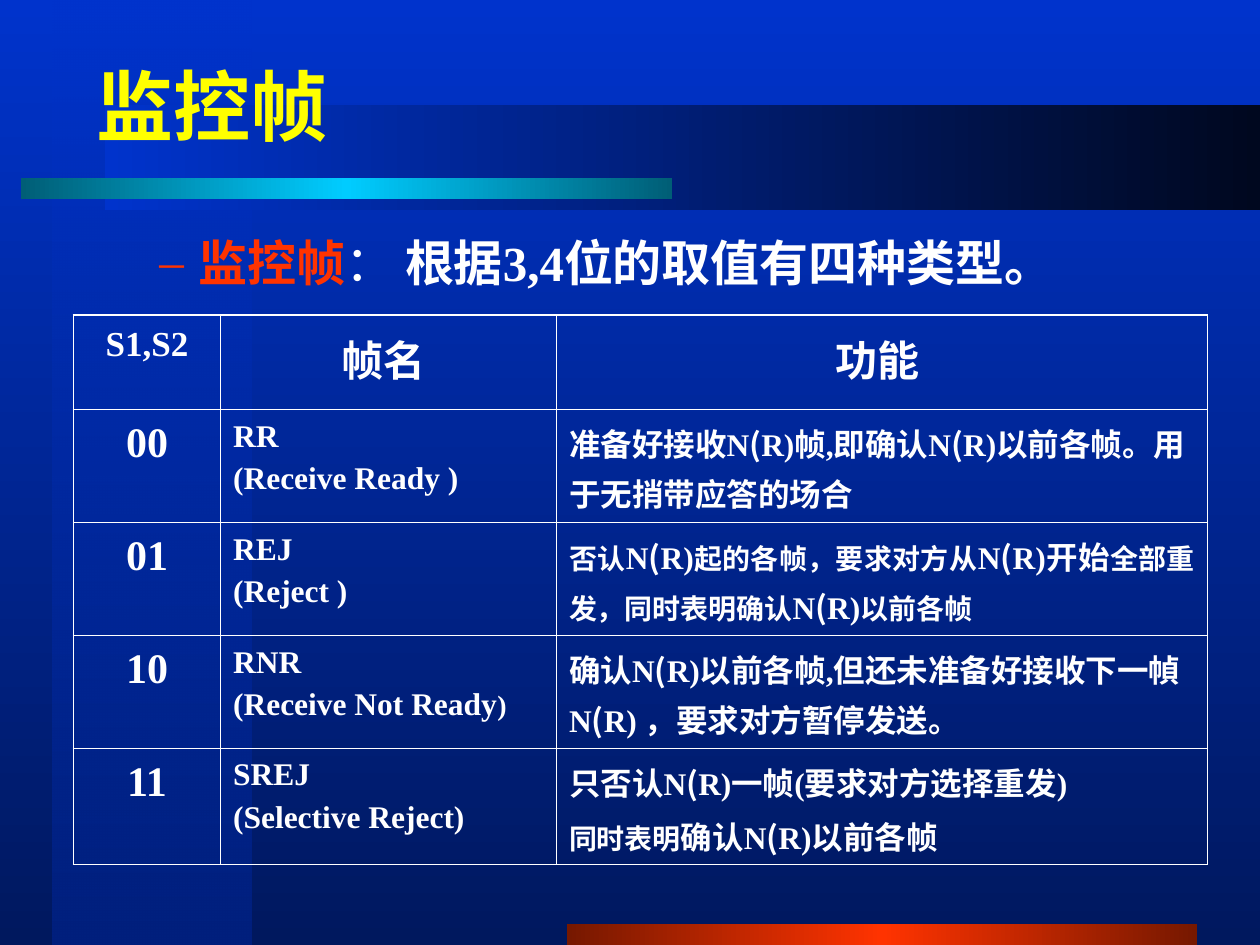
from itertools import groupby
from lxml.etree import SubElement as Sub
from pptx import Presentation
from pptx.dml.color import RGBColor
from pptx.enum.shapes import MSO_SHAPE as Kind
from pptx.enum.text import MSO_AUTO_SIZE as Fit, PP_ALIGN as Align
from pptx.oxml.ns import qn
from pptx.util import Inches, Pt

HAN, ROMAN = "Noto Sans CJK SC", "Times New Roman"
WHITE, RED, YELLOW = "FFFFFF", "FF3300", "FFFF00"
COLS, ROWS = (14, 32, 62), (9, 10.75, 10.75, 10.75, 11.1)
HEAD = (("S1,S2", 20), ("帧名 ", 24), ("功能 ", 24))
FRAMES = (
    ("00", "RR\n(Receive Ready )",
     "准备好接收N(R)帧,即确认N(R)以前各帧。用于无捎带应答的场合", Align.LEFT),
    ("01", "REJ\n(Reject )",
     "~否认~N(R)~起的各帧，要求对方从~N(R)开始~全部重发，同时表明确认~N(R)~以前各帧 ~",
     Align.JUSTIFY),
    ("10", "RNR\n(Receive Not Ready~)~",
     "确认N(R)以前各帧,但还未准备好接收下一幀N(R) ，要求对方暂停发送。 ", Align.LEFT),
    ("11", "SREJ\n(Selective Reject)",
     "只否认N(R)一帧(要求对方选择重发)\n~同时表明~确认N(R)以前各帧", Align.JUSTIFY),
)


def grid(*cells):
    return [Inches(cell / 12) for cell in cells]


def color(code):
    return RGBColor.from_string(code)


def blend(fill, root, stops, angle):
    fill.gradient()
    fill.gradient_angle = angle
    ramp = next(root.iter(qn("a:gsLst")))
    ramp.clear()
    for pos, code, alpha in stops:
        stop = Sub(ramp, qn("a:gs"), pos=str(pos * 1000))
        tone = Sub(stop, qn("a:srgbClr"), val=code)
        if alpha < 100:
            Sub(tone, qn("a:alpha"), val=str(alpha * 1000))


def bar(slide, box, stops, angle=0):
    shape = slide.shapes.add_shape(Kind.RECTANGLE, *grid(*box))
    shape.shadow.inherit = False
    shape.line.fill.background()
    blend(shape.fill, shape.element, stops, angle)


def glow(edge, core):
    return (0, edge, 100), (50, core, 100), (100, edge, 100)


def write(para, text, size, code=WHITE, bold=True):
    for part in text.replace("N(R)", "N|(|R)").split("|"):
        for plain, chars in groupby(part, str.isascii):
            run = para.add_run()
            run.text = "".join(chars)
            font = run.font
            font.size, font.bold = Pt(size), bold
            font.color.rgb = color(code)
            font.name = ROMAN if plain and part != "(" else HAN
            Sub(font._element, qn("a:ea"), typeface=HAN)


def space(para, size):
    para.line_spacing = 1.1
    para.space_before = Pt(size / 8)
    para._p.get_or_add_pPr().set("hangingPunct", "0")


def label(slide, box, wrap):
    frame = slide.shapes.add_textbox(*grid(*box)).text_frame
    frame.word_wrap = wrap
    return frame


def lead(slide):
    para = label(slide, (8, 21, 102, 8), True).paragraphs[0]
    space(para, 28)
    props = para._p.get_or_add_pPr()
    props.set("marL", str(Inches(0.81)))
    props.set("indent", str(Inches(-0.31)))
    Sub(Sub(props, qn("a:buClr")), qn("a:srgbClr"), val=RED)
    Sub(props, qn("a:buFont"), typeface=ROMAN)
    Sub(props, qn("a:buChar"), char="–")
    write(para, "监控帧", 28, RED)
    write(para, "： ", 28, bold=False)
    write(para, "根据3,4位的取值有四种类型。 ", 28)


def border(cell, row, col):
    props = cell._tc.get_or_add_tcPr()
    outer = (("L", col == 0), ("R", col == len(COLS) - 1),
             ("T", row == 0), ("B", row == len(ROWS) - 1))
    for side, edge in outer:
        line = Sub(props, qn("a:ln" + side), w=str(Pt(1.08 if edge else 0.45)))
        Sub(Sub(line, qn("a:solidFill")), qn("a:srgbClr"), val=WHITE)
    cell.fill.background()


def fill(cell, text, size, align):
    frame = cell.text_frame
    for num, line in enumerate(text.split("\n")):
        para = frame.add_paragraph() if num else frame.paragraphs[0]
        para.alignment = align
        space(para, size)
        for turn, part in enumerate(line.split("~")):
            write(para, part, 16 if turn % 2 else size)


def table(slide):
    box = grid(7, 30, sum(COLS), sum(ROWS))
    tab = slide.shapes.add_table(len(ROWS), len(COLS), *box).table
    tab.first_row = tab.horz_banding = False
    for col, width in zip(tab.columns, grid(*COLS)):
        col.width = width
    for row, height in zip(tab.rows, grid(*ROWS)):
        row.height = height
    data = [[(text, size, Align.CENTER) for text, size in HEAD]]
    for code, name, use, align in FRAMES:
        data.append([(code, 24, Align.CENTER), (name, 18, Align.LEFT),
                     (use, 18, align)])
    for row, items in enumerate(data):
        for col, item in enumerate(items):
            cell = tab.cell(row, col)
            border(cell, row, col)
            fill(cell, *item)


def title(slide):
    frame = label(slide, (8, 5, 25, 10), False)
    frame.auto_size = Fit.SHAPE_TO_FIT_TEXT
    write(frame.paragraphs[0], "监控帧", 44, YELLOW)


def main():
    deck = Presentation()
    deck.slide_width, deck.slide_height = grid(120, 90)
    slide = deck.slides.add_slide(deck.slide_layouts[6])
    blend(slide.background.fill, slide.element,
          ((0, "0033CC", 100), (100, "00185E", 100)), 270)
    bar(slide, (5, 0, 19, 90), ((0, "0033CC", 50), (100, "00207E", 100)), 270)
    bar(slide, (54, 88, 60, 2), glow("761800", RED))
    bar(slide, (10, 10, 110, 10), ((0, "0033CC", 100), (100, "00081F", 100)))
    bar(slide, (2, 17, 62, 2), glow("005E76", "00CCFF"))
    lead(slide)
    table(slide)
    title(slide)
    deck.save("out.pptx")


main()
